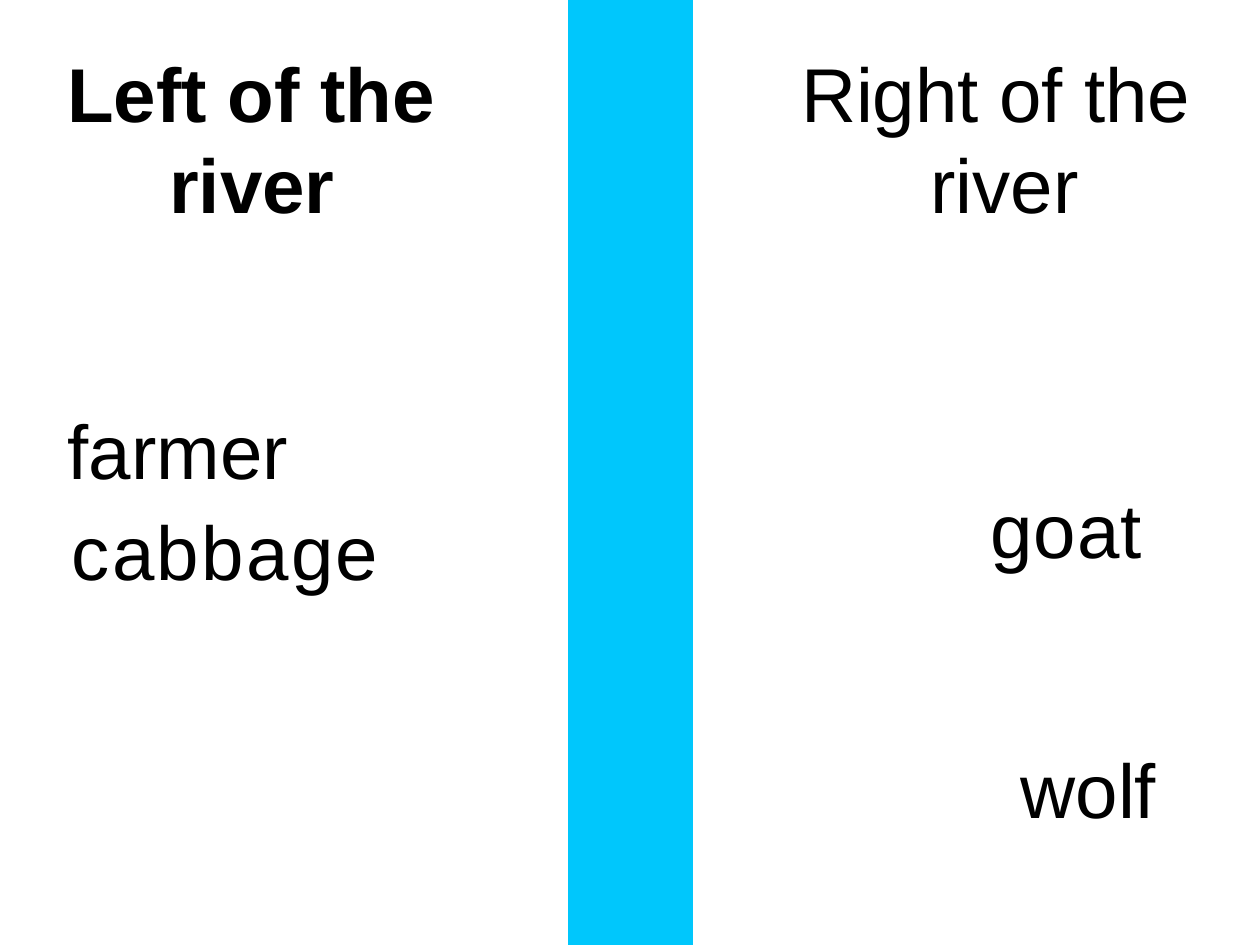
"""Build the river crossing slide with its two banks."""
from lxml import etree
from pptx import Presentation
from pptx.dml.color import RGBColor
from pptx.enum.shapes import MSO_CONNECTOR, MSO_SHAPE
from pptx.enum.text import MSO_ANCHOR, MSO_AUTO_SIZE, PP_ALIGN
from pptx.oxml.ns import qn
from pptx.util import Inches, Pt

LINE = MSO_CONNECTOR.STRAIGHT
RECT = MSO_SHAPE.RECTANGLE
TOP = MSO_ANCHOR.TOP
FIXED = MSO_AUTO_SIZE.NONE
LEFT = PP_ALIGN.LEFT

WIDE, HIGH = 14.22, 10.67
RIVER = (6.42, 7.81)
COLORS = {"water": "00C7FC", "text": "000000"}
FONT, SIZE, LEAD = "Arial", 62, 74

# Each paragraph: left margin, first indent, space before, runs of text and tracking.
HEADS = [
    {"box": (0.75, 0.48, 4.19, 2.09), "inset": 0.05, "bold": True, "title": False,
     "paras": [(1.16, -1.15, 0, [("Left of the ", -0.1), ("river", 0)])]},
    {"box": (9.03, 0.48, 4.81, 2.09), "inset": 0.05, "bold": False, "title": True,
     "paras": [(1.47, -1.46, 0, [("Right of the ", -0.1), ("river", 0)])]},
]
BANKS = [
    {"box": (0.74, 4.45, 3.58, 2.31), "inset": 0.11, "bold": False, "title": False,
     "paras": [(0.02, 0, 0, [("farmer", 0.1)]), (0.07, 0, 8, [("cabbage", 1.9)])]},
    {"box": (11.17, 5, 1.9, 2.97), "inset": 0.45, "bold": False, "title": False,
     "paras": [(0.01, 0, 0, [("goat", 0.8)]), (0.35, 0, 137, [("wolf", -0.1)])]},
]


def color(name):
    return RGBColor.from_string(COLORS[name])


def draw_river(slide):
    left, right = RIVER
    water = slide.shapes.add_shape(
        RECT, Inches(left), 0, Inches(right - left), Inches(HIGH))
    water.shadow.inherit = False
    water.fill.solid()
    water.fill.fore_color.rgb = color("water")
    water.line.fill.background()
    for x in (right, left):
        edge = slide.shapes.add_connector(LINE, Inches(x), 0, Inches(x), Inches(HIGH))
        edge.line.color.rgb = color("water")
        edge.line.width = Pt(2)
        etree.SubElement(edge._element.spPr, qn("a:effectLst"))


def add_label(slide, label):
    box = [Inches(n) for n in label["box"]]
    if label["title"]:
        shape = slide.shapes.title
        shape.left, shape.top, shape.width, shape.height = box
    else:
        shape = slide.shapes.add_textbox(*box)
    frame = shape.text_frame
    frame.word_wrap = True
    frame.auto_size = FIXED
    frame.vertical_anchor = TOP
    frame.margin_left = frame.margin_right = frame.margin_bottom = 0
    frame.margin_top = Inches(label["inset"])
    for i, (margin, indent, before, runs) in enumerate(label["paras"]):
        para = frame.add_paragraph() if i else frame.paragraphs[0]
        props = para._p.get_or_add_pPr()
        props.set("marL", str(Inches(margin)))
        props.set("indent", str(Inches(indent)))
        para.alignment = LEFT
        para.line_spacing = Pt(LEAD)
        para.space_before = Pt(before)
        for text, track in runs:
            run = para.add_run()
            run.text = text
            run.font.name = FONT
            run.font.size = Pt(SIZE)
            run.font.bold = label["bold"]
            run.font.color.rgb = color("text")
            run._r.get_or_add_rPr().set("spc", str(round(track * 100)))


def main():
    deck = Presentation()
    deck.slide_width, deck.slide_height = Inches(WIDE), Inches(HIGH)
    slide = deck.slides.add_slide(deck.slide_layouts[5])
    draw_river(slide)
    for label in HEADS + BANKS:
        add_label(slide, label)
    deck.save("out.pptx")


if __name__ == "__main__":
    main()
